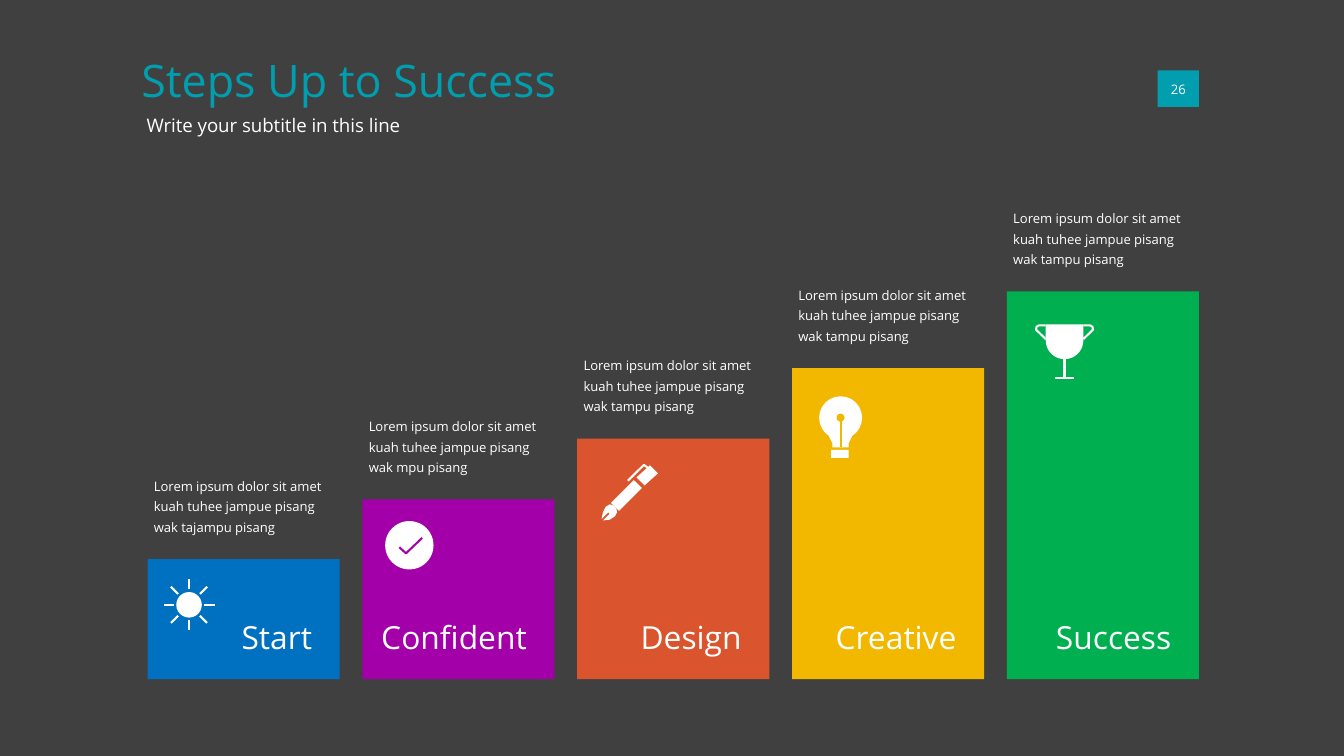
import math
from dataclasses import dataclass

from lxml import etree
from pptx import Presentation
from pptx.dml.color import RGBColor
from pptx.enum.shapes import MSO_CONNECTOR, MSO_SHAPE
from pptx.enum.text import MSO_ANCHOR, MSO_AUTO_SIZE, PP_ALIGN
from pptx.oxml.ns import qn
from pptx.util import Cm, Pt

RECTANGLE, OVAL = MSO_SHAPE.RECTANGLE, MSO_SHAPE.OVAL
STRAIGHT = MSO_CONNECTOR.STRAIGHT
TOP, MIDDLE, BOTTOM = MSO_ANCHOR.TOP, MSO_ANCHOR.MIDDLE, MSO_ANCHOR.BOTTOM
LEFT, CENTER, RIGHT = PP_ALIGN.LEFT, PP_ALIGN.CENTER, PP_ALIGN.RIGHT
NO_AUTOFIT = MSO_AUTO_SIZE.NONE


@dataclass(frozen=True)
class Theme:
    font: str = "Open Sans"
    background: str = "404040"
    accent: str = "009EAF"
    ink: str = "FFFFFF"
    title_size: float = 24
    subtitle_size: float = 10
    label_size: float = 17
    note_size: float = 7


THEME = Theme()

# Icon parts: kind, geometry in icon units, and "ink" or "bar" for the colour.
# Ovals and boxes: x, y, width, height. Areas and lines: points.
ICON_UNIT = 0.0254  # centimetres
STROKE = 1.1


def ray(angle):
    return [(19 + radius * math.cos(angle), 19 + radius * math.sin(angle))
            for radius in (11.5, 19)]


HANDLE = [(8, 0.8), (3, 0.8), (1.2, 1.8), (0.8, 4), (8, 11)]
CUP = [(8, 0), (36, 0)] + [
    (22 + 14 * math.cos(math.radians(a)), 12 + 14 * math.sin(math.radians(a)))
    for a in range(0, 181, 10)]
SUN = [("oval", (9.5, 9.5, 19, 19), "ink")] + [
    ("line", ray(math.pi / 4 * turn), "ink") for turn in range(8)]
CHECK = [
    ("oval", (0, 0, 36, 36), "ink"),
    ("line", [(10.5, 19.5), (15.5, 24), (27.5, 12.5)], "bar"),
]
PEN = [
    ("area", [(26, 10), (32, 16), (42, 7), (36, 1)], "ink"),
    ("line", [(19.5, 12.5), (31.5, 0.7), (34.5, 3)], "ink"),
    ("area", [(30, 18), (24, 12), (7, 29), (13, 35)], "ink"),
    ("area", [(9, 31), (6, 30), (3, 32), (1, 36), (0, 41), (5, 36), (6, 37),
              (1, 42), (6, 41.5), (10, 39), (11.5, 36), (11, 33)], "ink"),
]
BULB = [
    ("oval", (0, 0, 32, 32), "ink"),
    ("area", [(3, 25), (7, 29), (10, 35), (10, 38),
              (22, 38), (22, 35), (25, 29), (29, 25)], "ink"),
    ("box", (9, 40, 13, 6), "ink"),
    ("oval", (13, 13, 6, 6), "bar"),
    ("line", [(16, 16), (16, 38)], "bar"),
]
TROPHY = [
    ("area", CUP, "ink"),
    ("line", HANDLE, "ink"),
    ("line", [(44 - x, y) for x, y in HANDLE], "ink"),
    ("line", [(22, 26), (22, 40)], "ink"),
    ("line", [(15, 40), (29, 40)], "ink"),
]

TITLE = "Steps Up to Success"
SUBTITLE = "Write your subtitle in this line"
PAGE = "26"
NOTE = "Lorem ipsum dolor sit amet kuah tuhee jampue pisang wak {} pisang"
# Label, colour, bar height, note ending, note height, icon, icon offset
STEPS = [
    ("Start", "0070C0", 2.27, "tajampu", 2.69, SUN, (0.3, 0.38)),
    ("Confident", "A300AA", 3.4, "mpu", 2.69, CHECK, (0.43, 0.41)),
    ("Design", "DA542D", 4.55, "tampu", 2.69, PEN, (0.46, 0.48)),
    ("Creative", "F2B800", 5.88, "tampu", 2.69, BULB, (0.51, 0.53)),
    ("Success", "00B050", 7.33, "tampu", 1.63, TROPHY, (0.53, 0.62)),
]
BAR_LEFT, BAR_STEP, BAR_WIDTH, BAR_BOTTOM = 2.79, 4.06, 3.63, 12.84
NOTE_WIDTH, NOTE_GAP, NOTE_INDENT = 3.58, 0.38, 0.04
LABEL_TOP, LABEL_WIDTH, LABEL_HEIGHT, LABEL_INSET = 11.58, 3.15, 0.89, 0.42


def color(value):
    return RGBColor.from_string(value)


def write(shape, text, size, ink=THEME.ink, align=LEFT, anchor=TOP,
          inset=0, spacing=None, wrap=True):
    frame = shape.text_frame
    frame.auto_size = NO_AUTOFIT
    frame.word_wrap = wrap
    frame.vertical_anchor = anchor
    frame.margin_left = frame.margin_right = Cm(inset)
    frame.margin_top = frame.margin_bottom = Cm(inset)
    paragraph = frame.paragraphs[0]
    paragraph.alignment = align
    if spacing:
        paragraph.line_spacing = spacing
    run = paragraph.add_run()
    run.text = text
    run.font.name, run.font.size = THEME.font, Pt(size)
    run.font.color.rgb = color(ink)


def add_text(shapes, box, *arguments, **options):
    write(shapes.add_textbox(*map(Cm, box)), *arguments, **options)


def paint(shape, fill):
    shape.shadow.inherit = False
    shape.fill.solid()
    shape.fill.fore_color.rgb = color(fill)
    shape.line.fill.background()


def add_preset(shapes, preset, box, fill):
    paint(shapes.add_shape(preset, *map(Cm, box)), fill)


def add_outline(shapes, points, closed):
    points = [(Cm(x), Cm(y)) for x, y in points]
    builder = shapes.build_freeform(*points[0], scale=1.0)
    builder.add_line_segments(points[1:], close=closed)
    return builder.convert_to_shape()


def add_line(shapes, points, ink):
    if len(points) == 2:
        (x1, y1), (x2, y2) = points
        line = shapes.add_connector(STRAIGHT, Cm(x1), Cm(y1), Cm(x2), Cm(y2))
        etree.SubElement(line.element.spPr, qn("a:effectLst"))
    else:
        line = add_outline(shapes, points, closed=False)
        line.fill.background()
        line.shadow.inherit = False
    line.line.color.rgb = color(ink)
    line.line.width = Pt(STROKE)


def add_icon(shapes, parts, left, top, bar_color):
    for kind, geometry, role in parts:
        fill = THEME.ink if role == "ink" else bar_color
        if kind in ("oval", "box"):
            x, y, width, height = (value * ICON_UNIT for value in geometry)
            preset = OVAL if kind == "oval" else RECTANGLE
            add_preset(shapes, preset, (left + x, top + y, width, height), fill)
            continue
        points = [(left + x * ICON_UNIT, top + y * ICON_UNIT)
                  for x, y in geometry]
        if kind == "area":
            paint(add_outline(shapes, points, closed=True), fill)
        else:
            add_line(shapes, points, fill)


def add_step(shapes, index, step):
    label, fill, height, ending, note_height, icon, (icon_x, icon_y) = step
    left, top = BAR_LEFT + index * BAR_STEP, BAR_BOTTOM - height
    add_preset(shapes, RECTANGLE, (left, top, BAR_WIDTH, height), fill)
    note_box = (left + NOTE_INDENT, top - NOTE_GAP - note_height,
                NOTE_WIDTH, note_height)
    add_text(shapes, note_box, NOTE.format(ending), THEME.note_size,
             anchor=BOTTOM, inset=0.08, spacing=1.3)
    group = shapes.add_group_shape().shapes
    label_left = left + BAR_WIDTH - LABEL_INSET - LABEL_WIDTH
    add_text(group, (label_left, LABEL_TOP, LABEL_WIDTH, LABEL_HEIGHT), label,
             THEME.label_size, align=RIGHT, inset=0.1)
    add_icon(group, icon, left + icon_x, top + icon_y, fill)


def main():
    presentation = Presentation()
    presentation.slide_width, presentation.slide_height = Cm(25.4), Cm(14.29)
    slide = presentation.slides.add_slide(presentation.slide_layouts[5])
    slide.background.fill.solid()
    slide.background.fill.fore_color.rgb = color(THEME.background)
    shapes = slide.shapes

    title = shapes.title
    title.left, title.top, title.width, title.height = map(
        Cm, (2.67, 0.99, 12.09, 1.24))
    write(title, TITLE, THEME.title_size, THEME.accent)
    add_text(shapes, (2.77, 2.16, 17.55, 0.58), SUBTITLE, THEME.subtitle_size)
    add_preset(shapes, RECTANGLE, (21.88, 1.33, 0.78, 0.69), THEME.accent)
    add_text(shapes, (22.13, 1.53, 0.28, 0.3), PAGE, THEME.note_size,
             align=CENTER, anchor=MIDDLE, wrap=False)
    for index, step in enumerate(STEPS):
        add_step(shapes, index, step)
    presentation.save("out.pptx")


if __name__ == "__main__":
    main()
